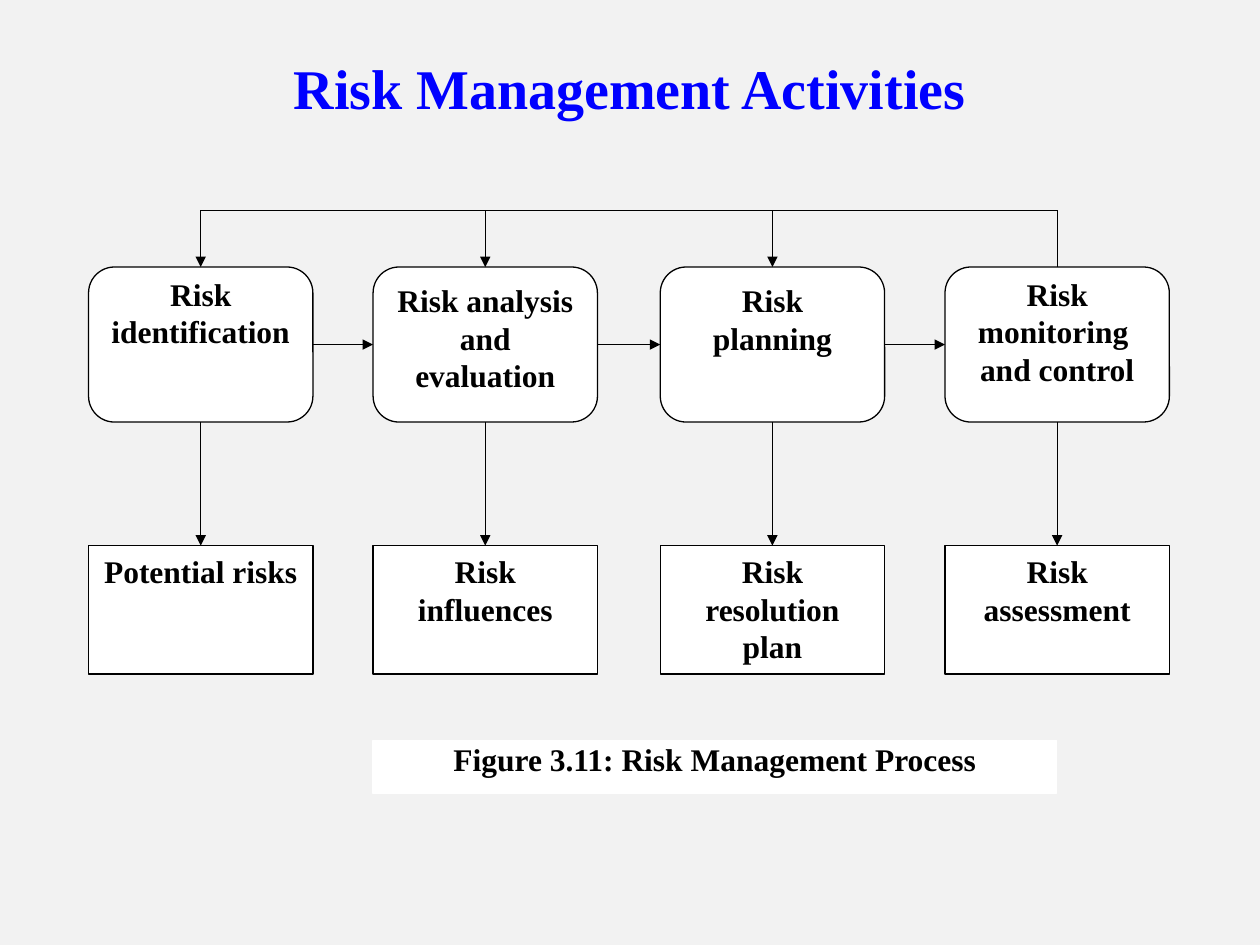
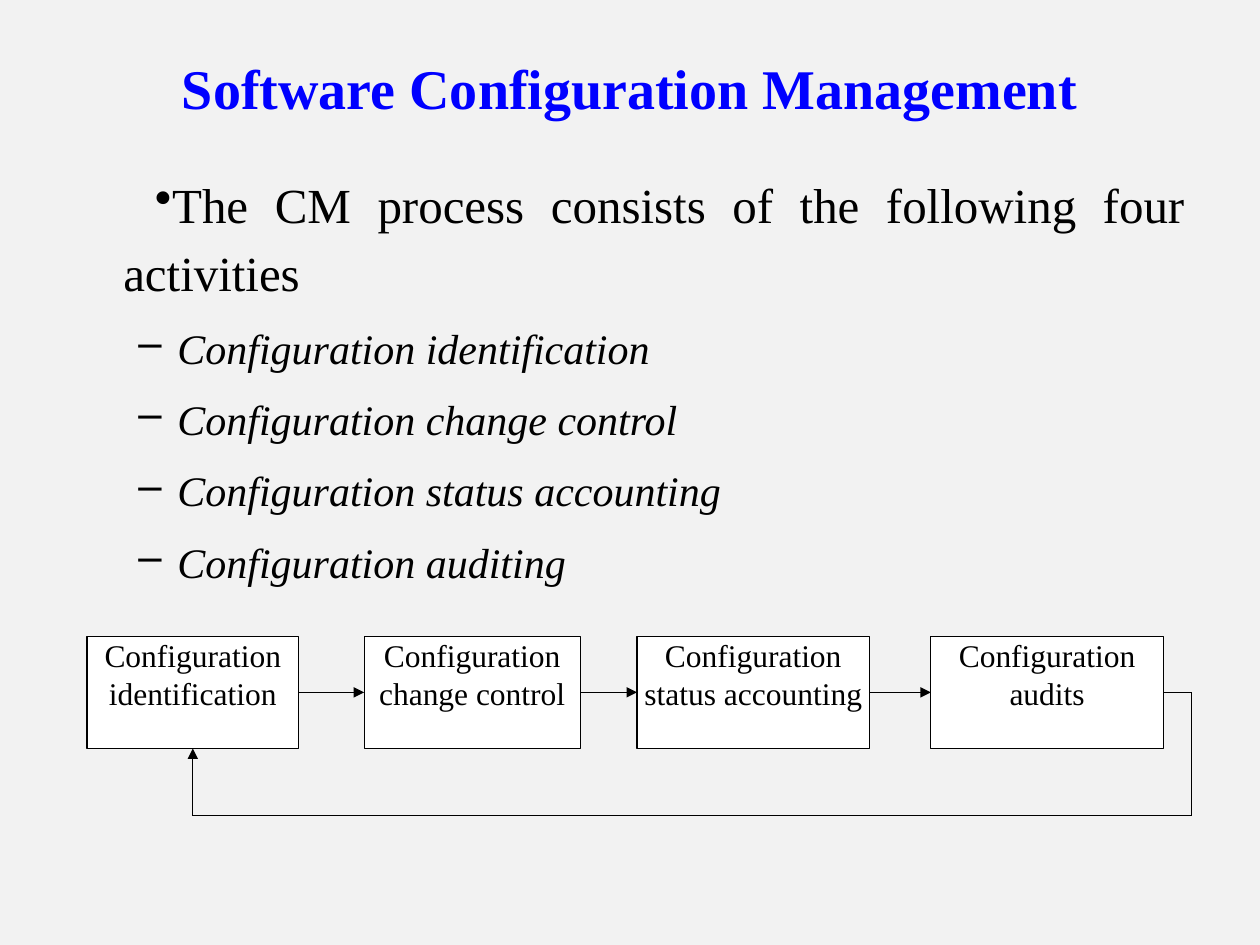
"""Build two slides on risk and configuration management."""
from dataclasses import dataclass
from itertools import pairwise

from lxml import etree
from pptx import Presentation
from pptx import util as u
from pptx.dml.color import RGBColor
from pptx.enum import shapes, text
from pptx.oxml import ns
from pptx.slide import Slide

HUES = {"back": "F2F2F2", "title": "0000FF", "ink": "000000", "fill": "FFFFFF"}
FACE = "Times New Roman"
ROUND = shapes.MSO_SHAPE.ROUNDED_RECTANGLE
RECT = shapes.MSO_SHAPE.RECTANGLE
MID = text.PP_ALIGN.CENTER
FLAT = (0, 0)
PAD = (7.2, 3.6)


@dataclass(frozen=True)
class Box:
    words: str
    left: float
    top: float
    width: float
    height: float
    form: shapes.MSO_SHAPE = RECT
    inset: tuple[float, float] = PAD
    bold: bool = True
    edge: str = "ink"

    @property
    def right(self) -> float:
        return self.left + self.width

    @property
    def base(self) -> float:
        return self.top + self.height

    @property
    def mid(self) -> float:
        return self.left + self.width / 2

    @property
    def half(self) -> float:
        return self.top + self.height / 2


@dataclass(frozen=True)
class Point:
    words: str
    mark: str
    size: float
    left: float
    indent: float
    before: float = 6
    pitch: float = 1.0
    level: int = 0
    slant: bool = False
    align: text.PP_ALIGN = text.PP_ALIGN.JUSTIFY


def hue(name: str) -> RGBColor:
    """Return a named colour."""
    return RGBColor.from_string(HUES[name])


def style(para, size: float, name: str = "ink", bold: bool = False, slant: bool = False) -> None:
    """Format every run of a paragraph."""
    for run in para.runs:
        font = run.font
        font.name, font.size = FACE, u.Pt(size)
        font.bold, font.italic = bold, slant
        font.color.rgb = hue(name)


def start(deck, words: str) -> Slide:
    """Add a blank slide with its background and title."""
    slide = deck.slides.add_slide(deck.slide_layouts[6])
    slide.background.fill.solid()
    slide.background.fill.fore_color.rgb = hue("back")
    frame = slide.shapes.add_textbox(*map(u.Pt, (36, 21.6, 648, 56.2))).text_frame
    frame.word_wrap = True
    frame.vertical_anchor = text.MSO_ANCHOR.MIDDLE
    frame.text = words
    frame.paragraphs[0].alignment = MID
    style(frame.paragraphs[0], 32, "title", bold=True)
    return slide


def draw(slide: Slide, box: Box) -> None:
    """Draw one labelled box."""
    shape = slide.shapes.add_shape(
        box.form, *map(u.Pt, (box.left, box.top, box.width, box.height)))
    shape.shadow.inherit = False
    shape.fill.solid()
    shape.fill.fore_color.rgb = hue("fill")
    shape.line.color.rgb = hue(box.edge)
    shape.line.width = u.Pt(0.75)
    frame = shape.text_frame
    frame.word_wrap = True
    frame.vertical_anchor = text.MSO_ANCHOR.TOP
    frame.margin_left = frame.margin_right = u.Pt(box.inset[0])
    frame.margin_top = frame.margin_bottom = u.Pt(box.inset[1])
    frame.text = box.words
    for para in frame.paragraphs:
        para.alignment = MID
        style(para, 18, bold=box.bold)


def link(slide: Slide, *spots: tuple[float, float], head: bool = True) -> None:
    """Join spots by straight lines, with an arrowhead at the last."""
    pairs = list(pairwise(spots))
    for step, (tail, tip) in enumerate(pairs, 1):
        line = slide.shapes.add_connector(
            shapes.MSO_CONNECTOR.STRAIGHT, *map(u.Pt, (*tail, *tip)))
        line.line.color.rgb = hue("ink")
        line.line.width = u.Pt(0.75)
        props = line._element.spPr
        if head and step == len(pairs):
            etree.SubElement(props.find(ns.qn("a:ln")), ns.qn("a:tailEnd"), type="triangle")
        etree.SubElement(props, ns.qn("a:effectLst"))


def chain(slide: Slide, row: list[Box]) -> None:
    """Draw a row of boxes with arrows from each to the next."""
    for box in row:
        draw(slide, box)
    for one, two in pairwise(row):
        link(slide, (one.right, one.half), (two.left, two.half))


def write(slide: Slide, points: list[Point]) -> None:
    """Write the bulleted list."""
    frame = slide.shapes.add_textbox(*map(u.Pt, (36, 91.24, 648, 430.8))).text_frame
    frame.word_wrap = True
    frame.text = "\n".join(point.words for point in points)
    for para, point in zip(frame.paragraphs, points):
        props = para._p.get_or_add_pPr()
        props.set("marL", str(u.Pt(point.left)))
        props.set("indent", str(u.Pt(point.indent)))
        tint = etree.SubElement(props, ns.qn("a:buClr"))
        etree.SubElement(tint, ns.qn("a:srgbClr"), val=HUES["ink"])
        etree.SubElement(props, ns.qn("a:buChar"), char=point.mark)
        para.level = point.level
        para.alignment = point.align
        para.line_spacing = point.pitch
        para.space_before = u.Pt(point.before)
        para.space_after = u.Pt(6)
        style(para, point.size, slant=point.slant)


def risk(deck) -> None:
    """Build the risk process slide."""
    slide = start(deck, "Risk Management Activities")
    lefts = (50.6, 213.2, 377.3, 540)
    tasks = (
        ("Risk identification", FLAT),
        ("Risk analysis and evaluation", PAD),
        ("Risk planning", PAD),
        ("Risk monitoring \nand control", FLAT),
    )
    yields = ("Potential risks", "Risk influences", "Risk resolution plan", "Risk assessment")
    tops = [Box(words, left, 152.6, 128.2, 88.6, ROUND, inset)
            for left, (words, inset) in zip(lefts, tasks)]
    ends = [Box(words, left, 311.8, 128.2, 73.4) for left, words in zip(lefts, yields)]
    chain(slide, tops)
    for task, end in zip(tops, ends):
        draw(slide, end)
        link(slide, (task.mid, task.base), (end.mid, end.top))
    rail = 120.2
    first, last = tops[0], tops[-1]
    link(slide, (last.mid, last.top), (last.mid, rail), (first.mid, rail), (first.mid, first.top))
    for task in tops[1:-1]:
        link(slide, (task.mid, rail), (task.mid, task.top))
    draw(slide, Box("Figure 3.11: Risk Management Process", 213.2, 423.1, 390.6, 30.2,
                    inset=FLAT, edge="fill"))


def config(deck) -> None:
    """Build the configuration process slide."""
    slide = start(deck, "Software Configuration Management")
    items = ("identification", "change control", "status accounting", "auditing")
    lead = Point("The CM process consists of the following four activities",
                 "•", 28, 27.4, 18, before=0, pitch=1.15)
    write(slide, [lead] + [
        Point(f"Configuration {item}", "–", 24, 58.3, -22.3, level=1, slant=True,
              align=text.PP_ALIGN.LEFT)
        for item in items])
    steps = (
        ("identification", 49.7, 121),
        ("change control", 208.1, 123.5),
        ("status accounting", 364, 133),
        ("audits", 531.9, 133),
    )
    row = [Box(f"Configuration {name}", left, 363.6, width, 64.1, inset=FLAT, bold=False)
           for name, left, width in steps]
    chain(slide, row)
    first, last = row[0], row[-1]
    side, floor = 680.8, 466.2
    link(slide, (last.right, last.half), (side, last.half), (side, floor),
         (first.mid, floor), (first.mid, first.base))


def main() -> None:
    """Build and save the deck."""
    deck = Presentation()
    deck.slide_width, deck.slide_height = u.Pt(720), u.Pt(540)
    risk(deck)
    config(deck)
    deck.save("out.pptx")


if __name__ == "__main__":
    main()
